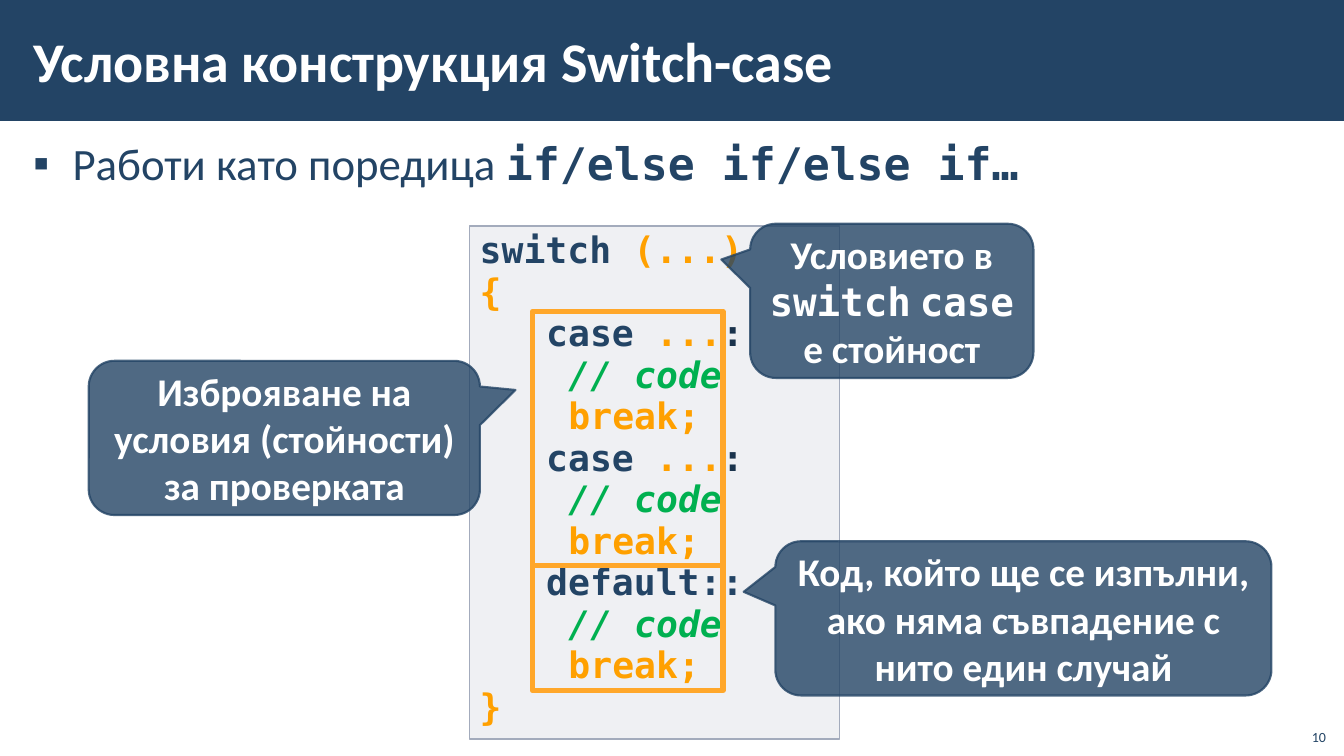
from lxml.etree import SubElement
from pptx import Presentation
from pptx.dml.color import RGBColor
from pptx.enum.shapes import MSO_SHAPE
from pptx.enum.text import MSO_ANCHOR, PP_ALIGN
from pptx.oxml.ns import qn
from pptx.util import Inches, Pt

NAVY = RGBColor(0x23, 0x44, 0x65)
INK = RGBColor(0x1A, 0x33, 0x4C)
WHITE = RGBColor(0xFF, 0xFF, 0xFF)
ORANGE = RGBColor(0xFF, 0xA0, 0x00)
FRAME_ORANGE = RGBColor(0xFF, 0xA7, 0x2A)
GREEN = RGBColor(0x00, 0xB0, 0x50)
PANEL = RGBColor(0xC2, 0xC7, 0xD2)
PANEL_EDGE = RGBColor(0xA3, 0xAB, 0xBC)

SANS = "Calibri"
MONO = "DejaVu Sans Mono"
CODE_COLUMN = 0.22

CASE = (3, [("case", NAVY), (" ...", ORANGE), (":", INK)])
COMMENT = (4, [("// code", GREEN)])
BREAK = (4, [("break;", ORANGE)])
CODE_LINES = [
    (0, [("switch ", NAVY), ("(...)", ORANGE)]),
    (0, [("{", ORANGE)]),
    CASE, COMMENT, BREAK,
    CASE, COMMENT, BREAK,
    (3, [("default::", NAVY)]), COMMENT, BREAK,
    (0, [("}", ORANGE)]),
]

CALLOUTS = [
    ((7.44, 2.22, 2.81, 1.53), (-0.602, -0.268),
     [("Условието в ", SANS), ("switch", MONO), (" ", SANS),
      ("case", MONO), (" е стойност", SANS)]),
    ((0.88, 3.58, 3.88, 1.53), (0.591, -0.311),
     [("Изброяване на условия (стойности) за проверката", SANS)]),
    ((7.69, 5.37, 4.92, 1.53), (-0.564, -0.172),
     [("Код, който ще се изпълни, ако няма съвпадение с нито един случай", SANS)]),
]


def apply_format(target, values):
    for name, value in values.items():
        setattr(target, name, value)


def set_opacity(paint, percent):
    color = paint._xPr.find(qn("a:solidFill"))[0]
    SubElement(color, qn("a:alpha"), val=str(percent * 1000))


def add_span(para, text, color, size, font=SANS, bold=False, italic=False):
    span = para.add_run()
    span.text = text
    span.font.color.rgb = color
    apply_format(span.font, {"name": font, "size": Pt(size), "bold": bold, "italic": italic})


def set_frame(frame, anchor, side=0.1, edge=0.05):
    apply_format(frame, {
        "word_wrap": True, "vertical_anchor": anchor,
        "margin_left": Inches(side), "margin_right": Inches(side),
        "margin_top": Inches(edge), "margin_bottom": Inches(edge),
    })
    return frame.paragraphs[0]


def add_text(page, box, anchor, side=0.1, edge=0.05):
    holder = page.shapes.add_textbox(*map(Inches, box))
    return set_frame(holder.text_frame, anchor, side, edge)


def add_panel(page, kind, box, fill=None, opacity=100, line=None, width=1):
    shape = page.shapes.add_shape(kind, *map(Inches, box))
    shape.shadow.inherit = False
    if fill is None:
        shape.fill.background()
    else:
        shape.fill.solid()
        shape.fill.fore_color.rgb = fill
        set_opacity(shape.fill, opacity)
    if line is None:
        shape.line.fill.background()
    else:
        shape.line.color.rgb = line
        shape.line.width = Pt(width)
    return shape


def add_header(page, box):
    left, top, width, height = box
    add_panel(page, MSO_SHAPE.RECTANGLE, box, NAVY)
    title = add_text(page, (left + 0.21, top + 0.11, 10.63, height - 0.23),
                     MSO_ANCHOR.MIDDLE, 0.12, 0.04)
    add_span(title, "Условна конструкция Switch-case", WHITE, 40, bold=True)


def add_body(page, box):
    para = add_text(page, box, MSO_ANCHOR.TOP, 0.12, 0.04)
    apply_format(para, {"space_before": Pt(6), "space_after": Pt(6)})
    settings = para._p.get_or_add_pPr()
    settings.set("marL", str(Inches(0.39)))
    settings.set("indent", str(Inches(-0.39)))
    SubElement(settings, qn("a:buFont"), typeface=SANS)
    SubElement(settings, qn("a:buChar"), char="▪")
    add_span(para, "Работи като поредица ", NAVY, 32)
    add_span(para, "if/else if/else if…", NAVY, 32, MONO, True)


def add_code(page, box):
    panel = add_panel(page, MSO_SHAPE.RECTANGLE, box, PANEL, 25, PANEL_EDGE)
    frame = panel.text_frame
    set_frame(frame, MSO_ANCHOR.TOP)
    for index, (column, parts) in enumerate(CODE_LINES):
        para = frame.paragraphs[0] if index == 0 else frame.add_paragraph()
        apply_format(para, {"alignment": PP_ALIGN.LEFT, "line_spacing": 0.95})
        para._p.get_or_add_pPr().set("marL", str(Inches(column * CODE_COLUMN)))
        for text, color in parts:
            add_span(para, text, color, 26, MONO, True, color == GREEN)


def add_callout(page, box, tip, parts):
    bubble = add_panel(page, MSO_SHAPE.ROUNDED_RECTANGULAR_CALLOUT, box, NAVY, 80, NAVY, 1.5)
    set_opacity(bubble.line.fill, 80)
    for index, value in enumerate((*tip, 0.167)):
        bubble.adjustments[index] = value
    para = set_frame(bubble.text_frame, MSO_ANCHOR.MIDDLE, 0.08)
    para.alignment = PP_ALIGN.CENTER
    for text, font in parts:
        add_span(para, text, WHITE, 28, font, True)


def add_branch_frames(page, box):
    left, top, width, heights = box
    for height in heights:
        add_panel(page, MSO_SHAPE.RECTANGLE, (left, top, width, height),
                  line=FRAME_ORANGE, width=4)
        top += height


def add_page_number(page, box):
    para = add_text(page, box, MSO_ANCHOR.BOTTOM)
    para.alignment = PP_ALIGN.RIGHT
    add_span(para, "10", NAVY, 10)


def main():
    deck = Presentation()
    apply_format(deck, {"slide_width": Inches(13.33), "slide_height": Inches(7.5)})
    page = deck.slides.add_slide(deck.slide_layouts[6])
    add_header(page, (0, 0, 13.33, 1.2))
    add_body(page, (0.21, 1.31, 12.92, 6.05))
    add_code(page, (4.66, 2.24, 3.67, 5.09))
    for box, tip, parts in CALLOUTS:
        add_callout(page, box, tip, parts)
    add_branch_frames(page, (5.28, 3.09, 1.89, (2.52, 1.24)))
    add_page_number(page, (12.85, 7.12, 0.4, 0.32))
    deck.save("out.pptx")


if __name__ == "__main__":
    main()
